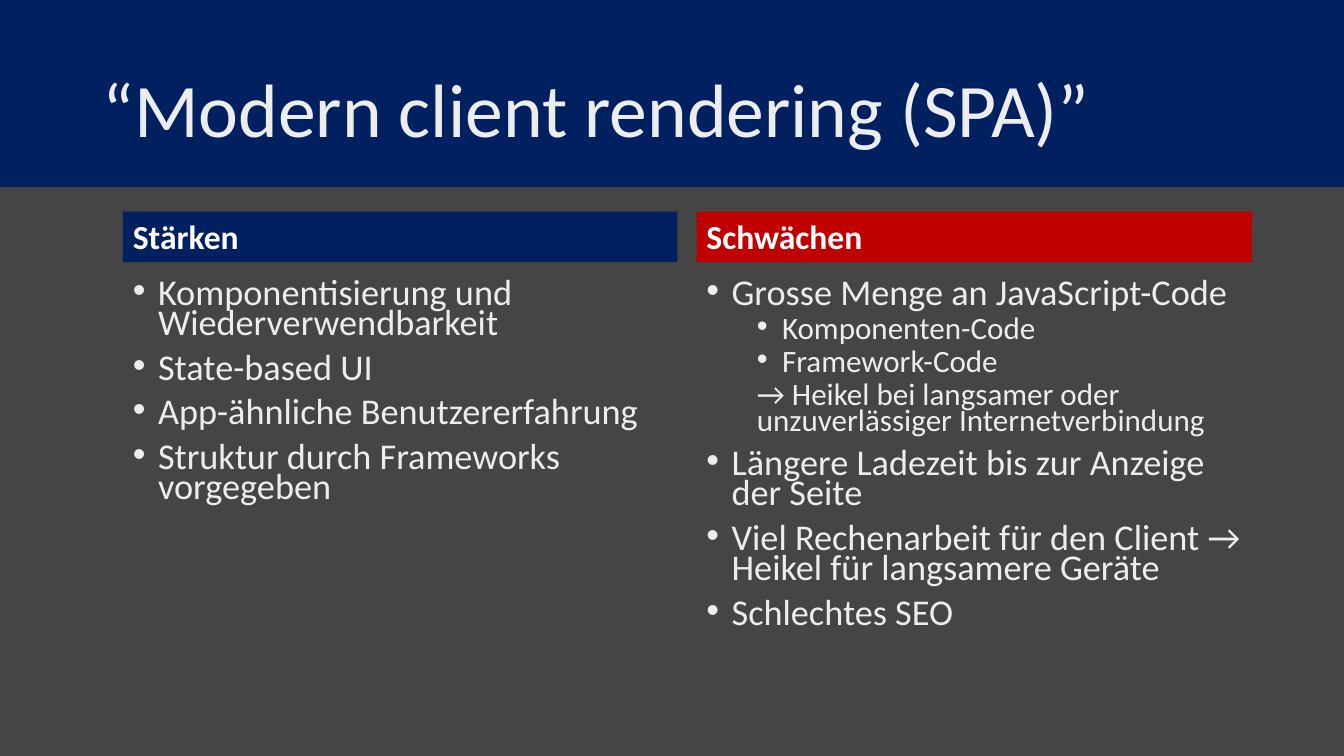
from lxml.etree import SubElement
from pptx import Presentation
from pptx.dml.color import RGBColor
from pptx.enum.shapes import MSO_SHAPE
from pptx.enum.text import MSO_ANCHOR, PP_ALIGN
from pptx.oxml.ns import qn
from pptx.util import Pt

TITLE = "“Modern client rendering (SPA)”"
# Each point is (style, text).
COLUMNS = [
    {"heading": "Stärken", "color": "navy", "left": 87.84, "width": 396, "points": [
        ("point", "Komponentisierung und Wiederverwendbarkeit"),
        ("point", "State-based UI"),
        ("point", "App-ähnliche Benutzererfahrung"),
        ("point", "Struktur durch Frameworks vorgegeben"),
    ]},
    {"heading": "Schwächen", "color": "red", "left": 497.52, "width": 396.72, "points": [
        ("point", "Grosse Menge an JavaScript-Code"),
        ("detail", "Komponenten-Code"),
        ("detail", "Framework-Code"),
        ("conclusion", "→ Heikel bei langsamer oder unzuverlässiger Internetverbindung"),
        ("point", "Längere Ladezeit bis zur Anzeige der Seite"),
        ("point", "Viel Rechenarbeit für den Client → Heikel für langsamere Geräte"),
        ("point", "Schlechtes SEO"),
    ]},
]

COLORS = {"background": "454545", "navy": "002060", "red": "C00000",
          "light": "EDEDED", "white": "FFFFFF"}
STYLES = {
    "title": {"font": {"size": Pt(54)}, "color": "light", "spacing": 0.9, "before": 0},
    "heading": {"font": {"size": Pt(24), "bold": True}, "color": "white",
                "spacing": 0.9, "before": 10},
    "point": {"font": {"size": Pt(25.9)}, "color": "light", "spacing": 0.7,
              "before": 10, "margin": 18, "indent": -18, "bullet": "•"},
    "detail": {"font": {"size": Pt(22.2)}, "color": "light", "spacing": 0.7,
               "before": 5, "level": 1, "margin": 54, "indent": -18, "bullet": "•"},
    "conclusion": {"font": {"size": Pt(22.2)}, "color": "light", "spacing": 0.7,
                   "before": 5, "level": 1, "margin": 36, "indent": 0},
}
SLIDE_WIDTH, SLIDE_HEIGHT = 960, 540
BANNER_HEIGHT = 133.2
TITLE_BOX = (66.24, 28.8, 828, 104.4)
HEADING_TOP, HEADING_HEIGHT = 151.2, 36
POINTS_TOP, POINTS_HEIGHT = 197.28, 290.16


def rgb(name):
    return RGBColor.from_string(COLORS[name])


def add_bar(slide, box, color, outlined=False):
    bar = slide.shapes.add_shape(MSO_SHAPE.RECTANGLE, *map(Pt, box))
    bar.shadow.inherit = False
    bar.fill.solid()
    bar.fill.fore_color.rgb = rgb(color)
    if outlined:
        bar.line.color.rgb = rgb(color)
        bar.line.width = Pt(1)
    else:
        bar.line.fill.background()
    return bar


def write(shape, lines, anchor):
    """Fill a shape with (style, text) paragraphs."""
    frame = shape.text_frame
    frame.word_wrap = True
    frame.vertical_anchor = anchor
    for number, (style_name, text) in enumerate(lines):
        style = STYLES[style_name]
        paragraph = frame.add_paragraph() if number else frame.paragraphs[0]
        settings = {"alignment": PP_ALIGN.LEFT, "level": style.get("level", 0),
                    "line_spacing": style["spacing"], "space_before": Pt(style["before"])}
        for name, value in settings.items():
            setattr(paragraph, name, value)
        run = paragraph.add_run()
        run.text = text
        for name, value in {"name": "Calibri", **style["font"]}.items():
            setattr(run.font, name, value)
        run.font.color.rgb = rgb(style["color"])
        properties = paragraph._p.get_or_add_pPr()
        if "margin" in style:
            properties.set("marL", str(Pt(style["margin"])))
            properties.set("indent", str(Pt(style["indent"])))
        if "bullet" in style:
            SubElement(properties, qn("a:buFont"), typeface="Arial")
            SubElement(properties, qn("a:buChar"), char=style["bullet"])


def add_column(slide, column):
    left, width = column["left"], column["width"]
    heading = add_bar(slide, (left, HEADING_TOP, width, HEADING_HEIGHT), column["color"])
    write(heading, [("heading", column["heading"])], MSO_ANCHOR.BOTTOM)
    points = slide.shapes.add_textbox(*map(Pt, (left, POINTS_TOP, width, POINTS_HEIGHT)))
    write(points, column["points"], MSO_ANCHOR.TOP)


def main():
    deck = Presentation()
    deck.slide_width, deck.slide_height = Pt(SLIDE_WIDTH), Pt(SLIDE_HEIGHT)
    slide = deck.slides.add_slide(deck.slide_layouts[6])
    slide.background.fill.solid()
    slide.background.fill.fore_color.rgb = rgb("background")
    add_bar(slide, (0, 0, SLIDE_WIDTH, BANNER_HEIGHT), "navy", outlined=True)
    title = slide.shapes.add_textbox(*map(Pt, TITLE_BOX))
    write(title, [("title", TITLE)], MSO_ANCHOR.MIDDLE)
    for column in COLUMNS:
        add_column(slide, column)
    deck.save("out.pptx")


if __name__ == "__main__":
    main()
